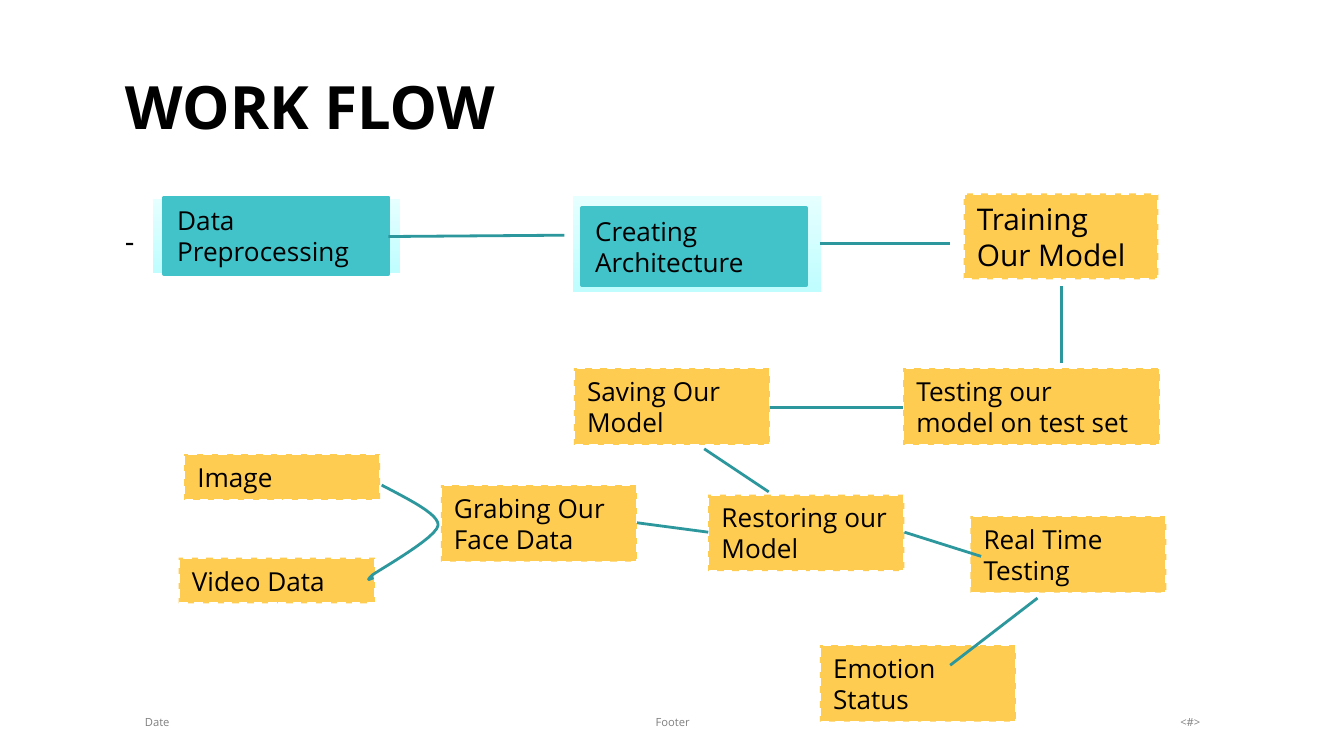
from pptx import Presentation
from pptx.dml.color import RGBColor
from pptx.enum.dml import MSO_LINE
from pptx.enum.shapes import MSO_CONNECTOR, MSO_SHAPE
from pptx.enum.text import MSO_ANCHOR, MSO_AUTO_SIZE, PP_ALIGN
from pptx.oxml.ns import qn
from pptx.util import Inches, Pt
from lxml import etree

RECT = MSO_SHAPE.RECTANGLE
STRAIGHT = MSO_CONNECTOR.STRAIGHT
DASH = MSO_LINE.DASH
MIDDLE, BOTTOM, TOP = MSO_ANCHOR.MIDDLE, MSO_ANCHOR.BOTTOM, MSO_ANCHOR.TOP
LEFT, CENTER, RIGHT = PP_ALIGN.LEFT, PP_ALIGN.CENTER, PP_ALIGN.RIGHT
NO_FIT = MSO_AUTO_SIZE.NONE

BLACK = RGBColor(0x00, 0x00, 0x00)
WHITE = RGBColor(0xFF, 0xFF, 0xFF)
GRAY = RGBColor(0x80, 0x80, 0x80)
TEAL = RGBColor(0x42, 0xC3, 0xC9)
DARK_TEAL = RGBColor(0x2C, 0x97, 0x9C)
YELLOW = RGBColor(0xFF, 0xCC, 0x52)
GLOW_BOTTOM = RGBColor(0xBF, 0xFD, 0xFF)
GLOW_TOP = RGBColor(0xE6, 0xFF, 0xFF)
FONT = "Open Sans"


def set_text(shape, text, size, color=BLACK, bold=False, align=LEFT, anchor=MIDDLE):
    tf = shape.text_frame
    tf.text = text
    tf.word_wrap = True
    tf.auto_size = NO_FIT
    tf.vertical_anchor = anchor
    tf.margin_left = tf.margin_right = Inches(0.1)
    tf.margin_top = tf.margin_bottom = Inches(0.05)
    for p in tf.paragraphs:
        p.alignment = align
        for r in p.runs:
            r.font.name = FONT
            r.font.size = Pt(size)
            r.font.bold = bold
            r.font.color.rgb = color
    return tf


def add_box(x, y, w, h):
    s = shapes.add_shape(RECT, Inches(x), Inches(y), Inches(w), Inches(h))
    s.shadow.inherit = False
    return s


prs = Presentation()
prs.slide_width = Inches(10)
prs.slide_height = Inches(10) * 9 // 16
slide = prs.slides.add_slide(prs.slide_layouts[1])
shapes = slide.shapes

for text, x, w, align in [
    ("<#>", 6.7, 2.33, RIGHT),
    ("Footer", 3.42, 3.17, CENTER),
    ("Date", 0.98, 2.33, LEFT),
]:
    s = shapes.add_textbox(Inches(x), Inches(5.22), Inches(w), Inches(0.3))
    set_text(s, text, 6, GRAY, align=align)

title, body = shapes.title, slide.placeholders[1]
title.left, title.top = Inches(0.83), Inches(0.16)
title.width, title.height = Inches(8.33), Inches(0.94)
set_text(title, "WORK FLOW", 32, bold=True, anchor=BOTTOM)

body.left, body.top = Inches(0.83), Inches(1.56)
body.width, body.height = Inches(8.33), Inches(3.33)
tf = set_text(body, "-", 16, anchor=TOP)
tf.margin_top = Inches(0.1)
p = tf.paragraphs[0]
p.space_before = Pt(0)
pPr = p._p.get_or_add_pPr()
pPr.set("marL", "0")
pPr.set("indent", "0")
etree.SubElement(pPr, qn("a:buNone"))

for x, y, w, h in [(1.14, 1.48, 1.84, 0.55), (4.26, 1.46, 1.85, 0.71)]:
    glow = add_box(x, y, w, h)
    glow.fill.gradient()
    glow.fill.gradient_angle = 90
    for position, (stop, color) in enumerate(
        zip(glow.fill.gradient_stops, (GLOW_BOTTOM, GLOW_TOP))
    ):
        stop.color.rgb = color
        stop.position = position
    glow.line.fill.background()

for text, x, y in [("Data Preprocessing", 1.22, 1.47), ("Creating Architecture", 4.33, 1.55)]:
    s = add_box(x, y, 1.67, 0.57)
    s.fill.solid()
    s.fill.fore_color.rgb = TEAL
    s.line.color.rgb = TEAL
    s.line.width = Pt(2)
    set_text(s, text, 14)

for text, x, y, w, h, size in [
    ("Training Our Model", 7.17, 1.44, 1.45, 0.64, 16),
    ("Testing our\nmodel on test set", 6.72, 2.74, 1.91, 0.57, 14),
    ("Saving Our Model", 4.27, 2.74, 1.46, 0.57, 14),
    ("Image", 1.37, 3.38, 1.46, 0.34, 14),
    ("Video Data", 1.33, 4.15, 1.46, 0.34, 14),
    ("Grabing Our Face Data", 3.28, 3.61, 1.46, 0.57, 14),
    ("Restoring our Model", 5.27, 3.68, 1.46, 0.57, 14),
    ("Real Time Testing", 7.22, 3.84, 1.46, 0.57, 14),
    ("Emotion Status", 6.1, 4.8, 1.46, 0.57, 14),
]:
    s = add_box(x, y, w, h)
    s.fill.solid()
    s.fill.fore_color.rgb = YELLOW
    s.line.color.rgb = WHITE
    s.line.width = Pt(1.13)
    s.line.dash_style = DASH
    set_text(s, text, size)

for x1, y1, x2, y2 in [
    (2.89, 1.76, 4.2, 1.75),
    (6.1, 1.81, 7.07, 1.81),
    (7.9, 2.13, 7.9, 2.7),
    (6.72, 3.03, 5.73, 3.03),
    (4.74, 3.89, 5.27, 3.96),
    (5.24, 3.34, 5.72, 3.66),
    (6.73, 3.96, 7.3, 4.14),
    (7.72, 4.45, 7.07, 4.95),
]:
    link = shapes.add_connector(STRAIGHT, Inches(x1), Inches(y1), Inches(x2), Inches(y2))
    link.line.color.rgb = DARK_TEAL
    link.line.width = Pt(1.5)
    etree.SubElement(link._element.spPr, qn("a:effectLst"))

start = (2.84, 3.61)
curves = [
    ((3.05, 3.72), (3.27, 3.83), (3.26, 3.91)),
    ((3.25, 4), (2.84, 4.23), (2.77, 4.28)),
    ((2.72, 4.33), (2.75, 4.31), (2.78, 4.3)),
]
points = [start]
for c1, c2, end in curves:
    anchors = list(zip(points[-1], c1, c2, end))
    for step in range(1, 13):
        t = step / 12
        u = 1 - t
        points.append(tuple(
            u**3 * a + 3 * u**2 * t * b + 3 * u * t**2 * c + t**3 * d
            for a, b, c, d in anchors
        ))
builder = shapes.build_freeform(Inches(start[0]), Inches(start[1]))
builder.add_line_segments([(Inches(x), Inches(y)) for x, y in points[1:]], close=False)
bracket = builder.convert_to_shape()
bracket.shadow.inherit = False
bracket.fill.background()
bracket.line.color.rgb = DARK_TEAL
bracket.line.width = Pt(1.5)

prs.save("out.pptx")
